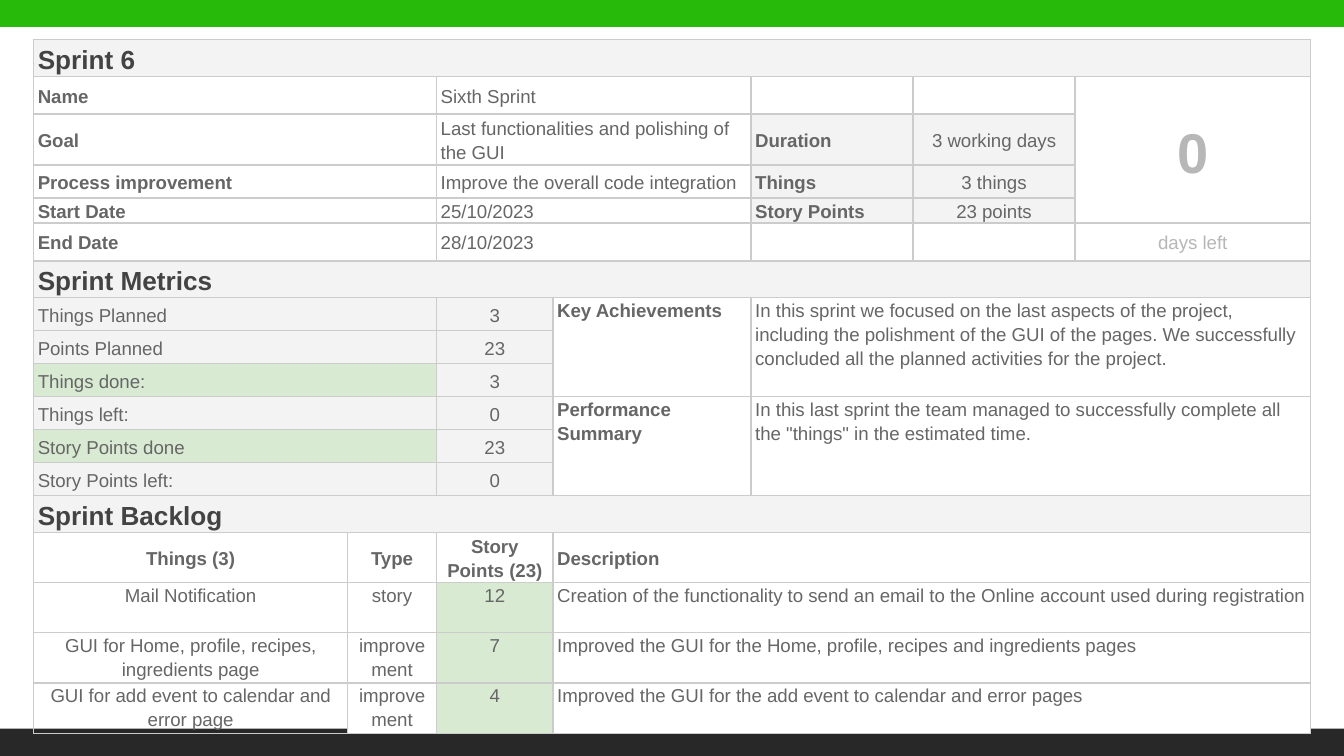
from lxml import etree
from pptx import Presentation
from pptx.dml.color import RGBColor
from pptx.enum.shapes import MSO_SHAPE
from pptx.enum.text import MSO_ANCHOR, PP_ALIGN
from pptx.oxml.ns import qn
from pptx.util import Pt

RECTANGLE = MSO_SHAPE.RECTANGLE
TOP, MIDDLE = MSO_ANCHOR.TOP, MSO_ANCHOR.MIDDLE
LEFT, CENTER = PP_ALIGN.LEFT, PP_ALIGN.CENTER
COLORS = {
    "green": "28BA0B", "dark": "282828", "border": "CCCCCC",
    "grey": "F3F3F3", "mint": "D9EAD3", "white": "FFFFFF",
    "heading": "434343", "text": "666666", "pale": "B7B7B7",
}
COLUMN_WIDTHS = [168.2, 47.7, 62.4, 106.1, 86.8, 86.8, 126.1]
ROW_HEIGHTS = ([19.6, 19.6, 27.3, 17.7, 13.4, 20.4, 19.6] + [17.7] * 6
               + [19.8, 26.8, 26.8, 27, 27])


def rgb(name):
    return RGBColor.from_string(COLORS[name])


def put(row, column, text, rows=1, columns=1, fill=None, bold=False, align=LEFT,
        anchor=MIDDLE, size=10, color="text"):
    """Merge, fill and write one cell of the sprint table."""
    cell = table.cell(row, column)
    if rows > 1 or columns > 1:
        cell.merge(table.cell(row + rows - 1, column + columns - 1))
    if fill:
        cell.fill.solid()
        cell.fill.fore_color.rgb = rgb(fill)
    cell.vertical_anchor = anchor
    para = cell.text_frame.paragraphs[0]
    para.alignment = align
    para.line_spacing = 1.15
    span = para.add_run()
    span.text = text
    span.font.name = "Arial"
    span.font.size = Pt(size)
    span.font.bold = bold
    span.font.color.rgb = rgb(color)


deck = Presentation()
deck.slide_width, deck.slide_height = Pt(720), Pt(405)
page = deck.slides.add_slide(deck.slide_layouts[6])

for top, color in [(390.4, "dark"), (-4.3, "green")]:
    band = page.shapes.add_shape(RECTANGLE, Pt(-5), Pt(top), Pt(730), Pt(18.7))
    band.shadow.inherit = False
    band.fill.solid()
    band.fill.fore_color.rgb = rgb(color)
    band.line.fill.background()

table = page.shapes.add_table(
    len(ROW_HEIGHTS), len(COLUMN_WIDTHS), Pt(18), Pt(21.3),
    Pt(sum(COLUMN_WIDTHS)), Pt(sum(ROW_HEIGHTS))).table
table.first_row = False
table.horz_banding = False
for column, width in zip(table.columns, COLUMN_WIDTHS):
    column.width = Pt(width)
for row, height in zip(table.rows, ROW_HEIGHTS):
    row.height = Pt(height)

for cell in table.iter_cells():
    cell.margin_left = cell.margin_right = Pt(2.25)
    cell.margin_top = cell.margin_bottom = Pt(0)
    cell.fill.background()
    properties = cell._tc.get_or_add_tcPr()
    for position, side in enumerate(["a:lnL", "a:lnR", "a:lnT", "a:lnB"]):
        border = etree.Element(qn(side), w=str(Pt(0.75)))
        paint = etree.SubElement(border, qn("a:solidFill"))
        etree.SubElement(paint, qn("a:srgbClr"), val=COLORS["border"])
        properties.insert(position, border)

# Section headings
for row, heading in [(0, "Sprint 6"), (6, "Sprint Metrics"), (13, "Sprint Backlog")]:
    put(row, 0, heading, columns=7, fill="grey", bold=True, size=14, color="heading")

# Sprint details
details = [
    ("Name", "Sixth Sprint", "", ""),
    ("Goal", "Last functionalities and polishing of the GUI", "Duration", "3 working days"),
    ("Process improvement", "Improve the overall code integration", "Things", "3 things"),
    ("Start Date", "25/10/2023", "Story Points", "23 points"),
    ("End Date", "28/10/2023", "", ""),
]
for row, (label, value, measure, amount) in enumerate(details, 1):
    fill = "grey" if measure else None
    put(row, 0, label, columns=2, bold=True)
    put(row, 2, value, columns=2)
    put(row, 4, measure, fill=fill, bold=True)
    put(row, 5, amount, fill=fill, align=CENTER)
put(1, 6, "0", rows=4, fill="white", bold=True, align=CENTER, size=30, color="pale")
put(5, 6, "days left", align=CENTER, color="pale")

# Sprint metrics
metrics = [
    ("Things Planned", "3", "grey"), ("Points Planned", "23", "grey"),
    ("Things done:", "3", "mint"), ("Things left:", "0", "grey"),
    ("Story Points done", "23", "mint"), ("Story Points left:", "0", "grey"),
]
for row, (label, value, fill) in enumerate(metrics, 7):
    put(row, 0, label, columns=2, fill=fill)
    put(row, 2, value, fill="grey", align=CENTER)

reviews = [
    (7, "Key Achievements",
     "In this sprint we focused on the last aspects of the project, including the "
     "polishment of the GUI of the pages. We successfully concluded all the planned "
     "activities for the project."),
    (10, "Performance Summary",
     "In this last sprint the team managed to successfully complete all the "
     "\"things\" in the estimated time."),
]
for row, title, review in reviews:
    put(row, 3, title, rows=3, bold=True, anchor=TOP)
    put(row, 4, review, rows=3, columns=3, anchor=TOP)

# Sprint backlog
for column, title in enumerate(["Things (3)", "Type", "Story Points (23)"]):
    put(14, column, title, bold=True, align=CENTER)
put(14, 3, "Description", columns=4, bold=True)

backlog = [
    ("Mail Notification", None, "story", "12",
     "Creation of the functionality to send an email to the Online account used "
     "during registration"),
    ("GUI for Home, profile, recipes, ingredients page", "white", "improvement", "7",
     "Improved the GUI for the Home, profile, recipes and ingredients pages"),
    ("GUI for add event to calendar and error page", None, "improvement", "4",
     "Improved the GUI for the add event to calendar and error pages"),
]
for row, (thing, fill, kind, points, description) in enumerate(backlog, 15):
    put(row, 0, thing, fill=fill, align=CENTER, anchor=TOP)
    put(row, 1, kind, fill="white", align=CENTER, anchor=TOP)
    put(row, 2, points, fill="mint", align=CENTER, anchor=TOP)
    put(row, 3, description, columns=4, fill="white", anchor=TOP)

deck.save("out.pptx")
